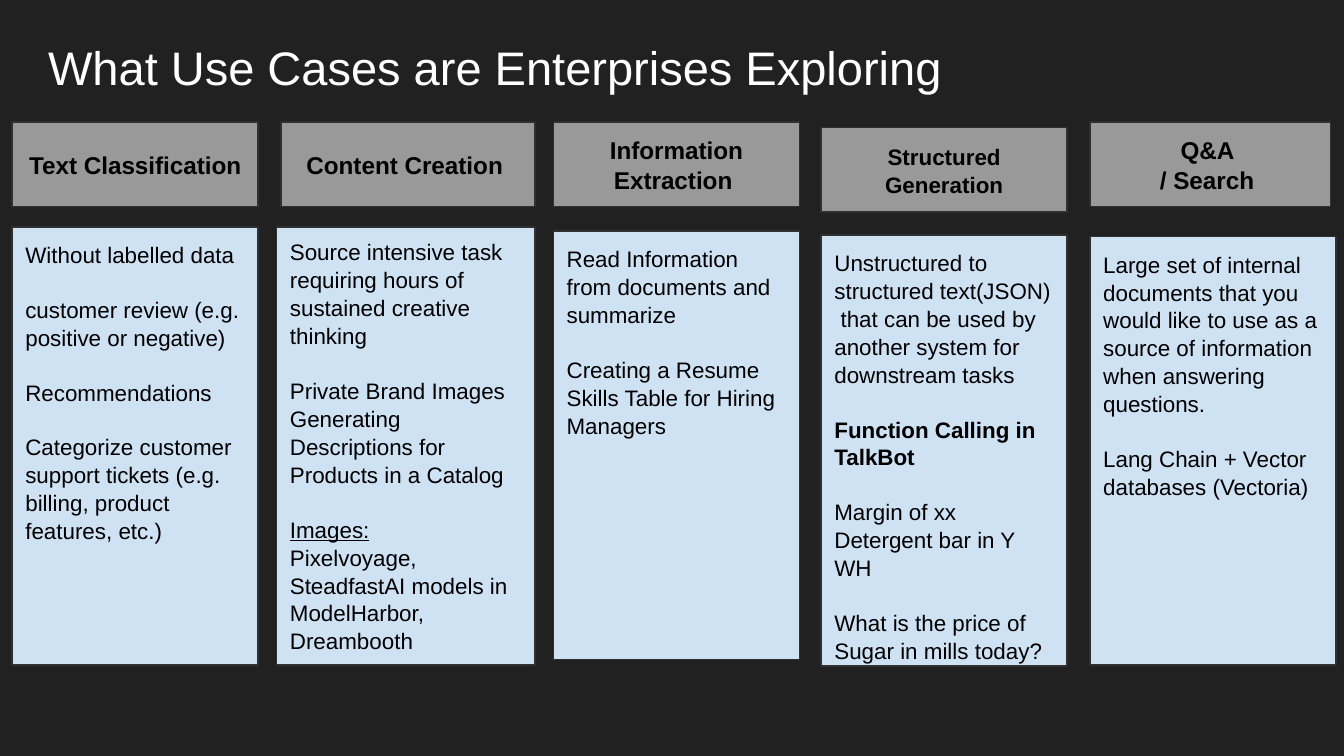
from pptx import Presentation
from pptx import util as u
from pptx.dml import color
from pptx.enum import shapes, text

COLOURS = {
    "background": "212121",
    "title": "FFFFFF",
    "header": "999999",
    "body": "CFE2F3",
    "outline": "303030",
    "ink": "000000",
}
FONT = "Arial"
INSET = 0.25
BODY_SIZE = 12
BLANK_LINE = 14.4  # one line of body text, in points

# Boxes are (left, top, width, height) in cm.
# A body is a list of groups; a group is a list of (words, style) paragraphs.
USE_CASES = [
    {
        "header": (["Text Classification"], 13, (0.23, 2.31, 4.65, 1.6)),
        "body_box": (0.23, 4.29, 4.65, 8.28),
        "body": [
            [("Without labelled data", "")],
            [("customer review (e.g. positive or negative)", "")],
            [("Recommendations", "")],
            [("Categorize customer support tickets (e.g. billing, product features, etc.)", "")],
        ],
    },
    {
        "header": (["Content Creation "], 13, (5.31, 2.31, 4.8, 1.6)),
        "body_box": (5.23, 4.29, 4.88, 8.28),
        "anchor": text.MSO_ANCHOR.MIDDLE,
        "body": [
            [("Source intensive task requiring hours of sustained creative thinking", "")],
            [
                ("Private Brand Images", ""),
                ("Generating Descriptions for Products in a Catalog", ""),
            ],
            [
                ("Images:", "underline"),
                ("Pixelvoyage,", ""),
                ("SteadfastAI models in ModelHarbor, Dreambooth", ""),
            ],
        ],
    },
    {
        "header": (["Information Extraction "], 13, (10.46, 2.31, 4.65, 1.6)),
        "body_box": (10.46, 4.37, 4.65, 8.1),
        "body": [
            [("Read Information from documents and summarize", "")],
            [("Creating a Resume Skills Table for Hiring Managers", "")],
        ],
    },
    {
        "header": (["Structured Generation"], 12, (15.52, 2.41, 4.65, 1.6)),
        "body_box": (15.52, 4.44, 4.65, 8.15),
        "body": [
            [(
                "Unstructured to structured text(JSON)\v that can be used by "
                "another system for downstream tasks",
                "",
            )],
            [("Function Calling in TalkBot", "bold")],
            [("Margin of xx Detergent bar in Y WH", "")],
            [("What is the price of Sugar in mills today?", "")],
        ],
    },
    {
        "header": (["Q&A ", "/ Search "], 13, (20.6, 2.31, 4.55, 1.6)),
        "body_box": (20.6, 4.47, 4.65, 8.1),
        "body": [
            [(
                "Large set of internal documents that you would like to use as a "
                "source of information when answering questions.",
                "",
            )],
            [("Lang Chain + Vector databases (Vectoria)", "")],
        ],
    },
]


def rgb(name):
    return color.RGBColor.from_string(COLOURS[name])


def set_frame(frame, anchor):
    frame.word_wrap = True
    frame.vertical_anchor = anchor
    frame.margin_left = frame.margin_right = u.Cm(INSET)
    frame.margin_top = frame.margin_bottom = u.Cm(INSET)


def add_paragraph(frame, index, words, size, ink="ink", spacing=1.04):
    paragraph = frame.add_paragraph() if index else frame.paragraphs[0]
    paragraph.text = words
    paragraph.alignment = text.PP_ALIGN.LEFT
    paragraph.line_spacing = spacing
    paragraph.font.name = FONT
    paragraph.font.size = u.Pt(size)
    paragraph.font.color.rgb = rgb(ink)
    return paragraph


def add_panel(slide, box, fill, anchor):
    panel = slide.shapes.add_shape(
        shapes.MSO_SHAPE.RECTANGLE, *(u.Cm(length) for length in box)
    )
    panel.shadow.inherit = False
    panel.fill.solid()
    panel.fill.fore_color.rgb = rgb(fill)
    panel.line.color.rgb = rgb("outline")
    panel.line.width = u.Pt(0.75)
    set_frame(panel.text_frame, anchor)
    return panel.text_frame


def add_title(slide, words, box):
    frame = slide.shapes.add_textbox(*(u.Cm(length) for length in box)).text_frame
    set_frame(frame, text.MSO_ANCHOR.TOP)
    add_paragraph(frame, 0, words, 25.2, "title", 1.1)


def add_header(slide, lines, size, box):
    frame = add_panel(slide, box, "header", text.MSO_ANCHOR.MIDDLE)
    for index, words in enumerate(lines):
        paragraph = add_paragraph(frame, index, words, size)
        paragraph.alignment = text.PP_ALIGN.CENTER
        paragraph.font.bold = True


def add_body(slide, groups, box, anchor):
    frame = add_panel(slide, box, "body", anchor)
    index = 0
    for group in groups:
        for position, (words, style) in enumerate(group):
            paragraph = add_paragraph(frame, index, words, BODY_SIZE)
            paragraph.font.bold = style == "bold"
            paragraph.font.underline = style == "underline"
            # A line's gap separates one group from the next
            if index and position == 0:
                paragraph.space_before = u.Pt(BLANK_LINE)
            index += 1


def main():
    deck = Presentation()
    deck.slide_width, deck.slide_height = u.Cm(25.4), u.Cm(14.29)
    slide = deck.slides.add_slide(deck.slide_layouts[6])
    slide.background.fill.solid()
    slide.background.fill.fore_color.rgb = rgb("background")

    add_title(slide, "What Use Cases are Enterprises Exploring", (0.66, 0.38, 23.67, 1.6))

    # One column per use case
    for case in USE_CASES:
        add_header(slide, *case["header"])
        anchor = case.get("anchor", text.MSO_ANCHOR.TOP)
        add_body(slide, case["body"], case["body_box"], anchor)

    deck.save("out.pptx")


if __name__ == "__main__":
    main()
